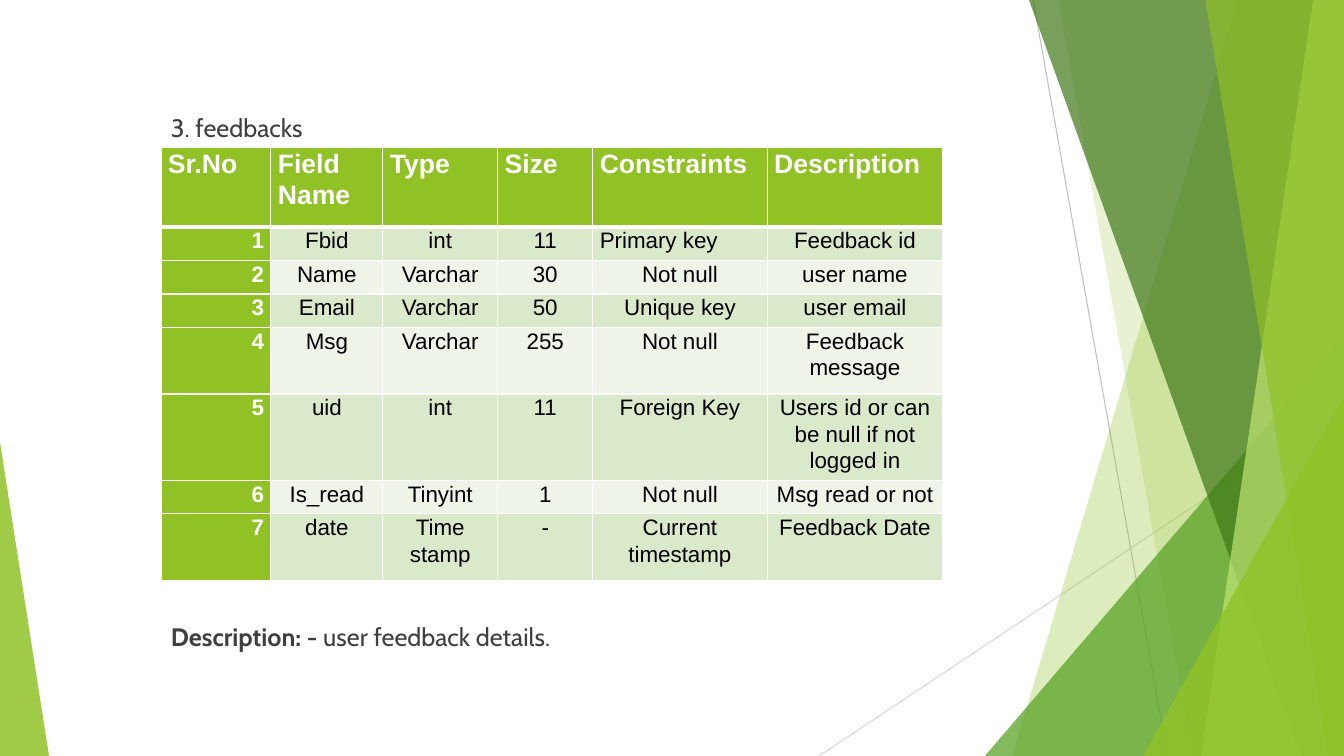
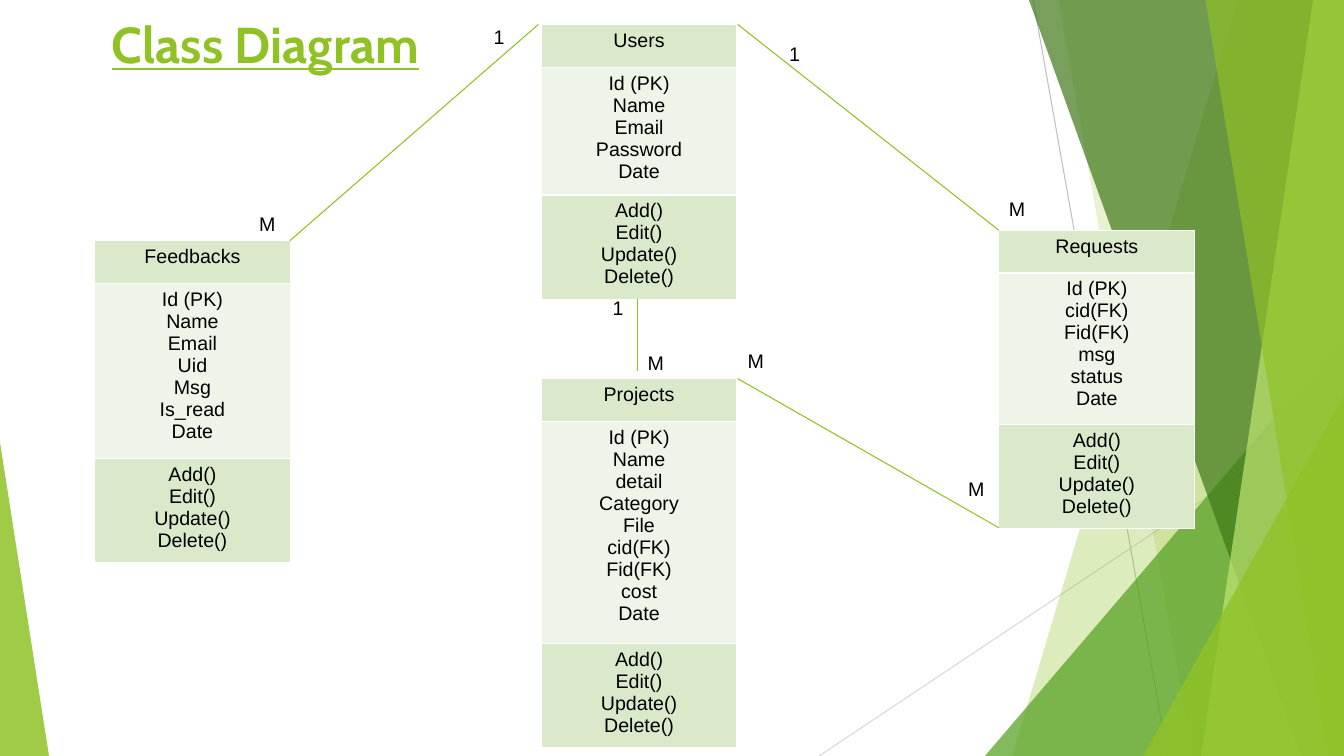
from lxml import etree
from pptx import Presentation
from pptx.dml.color import RGBColor
from pptx.enum import shapes, text
from pptx.oxml import ns
from pptx.util import Pt

HUES = {
    "leaf": "90C226", "green": "54A021", "dark": "3F7818", "lime": "BFE471",
    "link": "8EC221", "mist": "DBE9CB", "pale": "EEF4E7", "white": "FFFFFF",
    "black": "000000", "ink": "3F3F3F", "gray": "BFBFBF", "silver": "D8D8D8",
}
# Font attributes by role; "hue" is a key of HUES
FONTS = {
    "title": {"name": "Cabin", "size": Pt(36), "bold": True, "underline": True, "hue": "leaf"},
    "body": {"name": "Cabin", "size": Pt(18), "bold": False, "hue": "ink"},
    "strong": {"name": "Cabin", "size": Pt(18), "bold": True, "hue": "ink"},
    "head": {"name": "Arial", "size": Pt(19), "bold": True, "hue": "white"},
    "index": {"name": "Arial", "size": Pt(16), "bold": True, "hue": "white"},
    "cell": {"name": "Arial", "size": Pt(16), "bold": False, "hue": "black"},
    "class": {"name": "Arial", "size": Pt(14), "bold": False, "hue": "black"},
}
LEFT, MID, RIGHT = text.PP_ALIGN.LEFT, text.PP_ALIGN.CENTER, text.PP_ALIGN.RIGHT
WIDE, HIGH = 960, 540

FIELDS = [
    ["Sr.No", "Field Name", "Type", "Size", "Constraints", "Description"],
    ["1", "Fbid", "int", "11", "Primary key", "Feedback id"],
    ["2", "Name", "Varchar", "30", "Not null", "user name"],
    ["3", "Email", "Varchar", "50", "Unique key", "user email"],
    ["4", "Msg", "Varchar", "255", "Not null", "Feedback message"],
    ["5", "uid", "int", "11", "Foreign Key", "Users id or can be null if not logged in"],
    ["6", "Is_read", "Tinyint", "1", "Not null", "Msg read or not"],
    ["7", "date", "Time stamp", "-", "Current timestamp", "Feedback Date"],
]
COLS = [78.5, 80, 82, 68, 124.5, 125.5]
ROWS = [57, 24, 24, 24, 47.5, 57, 24, 47.5]

# Class boxes: left, top, name, fields
CLASSES = [
    (386.5, 17.5, "Users", "Id (PK) | Name | Email | Password | Date"),
    (67.5, 172, "Feedbacks", "Id (PK) | Name | Email | Uid | Msg | Is_read | Date"),
    (713.5, 164.5, "Requests", "Id (PK) | cid(FK) | Fid(FK) | msg | status | Date"),
    (386.5, 270.5, "Projects",
     "Id (PK) | Name | detail | Category | File | cid(FK) | Fid(FK) | cost | Date"),
]
METHODS = "Add() | Edit() | Update() | Delete()"
LINKS = [(384.5, 17.5, 207, 172), (527, 17.5, 713.5, 164.5),
         (713.5, 377, 527, 270.5), (455.5, 213.5, 455.5, 265)]
MARKS = [("1", 556.5, 26.5), ("M", 713.5, 137), ("M", 527, 246), ("M", 178, 147.5),
         ("M", 684.5, 337), ("M", 455.5, 247), ("1", 430.5, 208), ("1", 345.5, 14.5)]


def rgb(hue):
    return RGBColor.from_string(HUES[hue])


def put(frame, lines, align=LEFT, gap=None):
    """Write lines, each a list of (words, font role) runs."""
    for i, line in enumerate(lines):
        para = frame.paragraphs[0] if i == 0 else frame.add_paragraph()
        para.alignment = align
        if gap:
            para.line_spacing = gap
        for words, role in line:
            run = para.add_run()
            run.text = words
            for key, value in FONTS[role].items():
                if key == "hue":
                    run.font.color.rgb = rgb(value)
                else:
                    setattr(run.font, key, value)


def note(slide, box, line, align=LEFT):
    frame = slide.shapes.add_textbox(*map(Pt, box)).text_frame
    frame.word_wrap = True
    put(frame, [line], align)


def rule(slide, ends, hue):
    line = slide.shapes.add_connector(shapes.MSO_CONNECTOR.STRAIGHT, *map(Pt, ends))
    line.line.color.rgb = rgb(hue)
    line.line.width = Pt(0.75)
    etree.SubElement(line._element.spPr, ns.qn("a:effectLst"))


def tint(shape, hue, alpha):
    shape.shadow.inherit = False
    shape.line.fill.background()
    shape.fill.solid()
    shape.fill.fore_color.rgb = rgb(hue)
    color = shape._element.spPr.find(".//" + ns.qn("a:srgbClr"))
    etree.SubElement(color, ns.qn("a:alpha"), val=str(alpha * 1000))


def band(slide, top, foot, hue, alpha):
    """Slanted band that reaches the right edge of the slide."""
    form = slide.shapes.build_freeform(Pt(top), 0)
    form.add_line_segments([(Pt(x), Pt(y)) for x, y in
                            [(WIDE, 0), (WIDE, HIGH), (foot, HIGH)]])
    tint(form.convert_to_shape(), hue, alpha)


def peak(slide, left, top, width, tip, hue, alpha):
    """Triangle that stands on the bottom edge of the slide."""
    shape = slide.shapes.add_shape(shapes.MSO_SHAPE.ISOSCELES_TRIANGLE,
                                   *map(Pt, (left, top, width, HIGH - top)))
    shape.adjustments[0] = tip
    tint(shape, hue, alpha)


def decor(slide, layout):
    """Draw the shared backdrop and move it into the layout."""
    tree = layout.shapes.element
    for holder in list(layout.placeholders):
        tree.remove(holder._element)
    rule(slide, (738, 0, 834, HIGH), "gray")
    rule(slide, (WIDE, 290, 585, HIGH), "silver")
    band(slide, 884, 723, "leaf", 30)
    band(slide, 756, 852, "leaf", 20)
    peak(slide, 703.5, 240, 256.5, 1, "green", 72)
    band(slide, 735, 929.5, "dark", 70)
    band(slide, 938, 858, "lime", 70)
    band(slide, 861, 949, "leaf", 65)
    peak(slide, 816.5, 283, 143.5, 1, "leaf", 80)
    peak(slide, 0, 316, 35, 0, "leaf", 85)
    for shape in list(slide.shapes):
        tree.append(shape._element)


def grid(slide, left, top, cols, rows):
    frame = slide.shapes.add_table(len(rows), len(cols),
                                   *map(Pt, (left, top, sum(cols), sum(rows))))
    table = frame.table
    for col, width in zip(table.columns, cols):
        col.width = Pt(width)
    for row, height in zip(table.rows, rows):
        row.height = Pt(height)
    return table


def paint(cell, hue, over=1, under=1):
    """Fill a cell and give it white borders."""
    cell.fill.solid()
    cell.fill.fore_color.rgb = rgb(hue)
    props = cell._tc.get_or_add_tcPr()
    sides = {"lnL": 1, "lnR": 1, "lnT": over, "lnB": under}
    for i, (side, width) in enumerate(sides.items()):
        line = etree.Element(ns.qn("a:" + side), w=str(Pt(width)))
        fill = etree.SubElement(line, ns.qn("a:solidFill"))
        etree.SubElement(fill, ns.qn("a:srgbClr"), val=HUES["white"])
        props.insert(i, line)


def fields(slide):
    table = grid(slide, 115, 105, COLS, ROWS)
    for r, row in enumerate(FIELDS):
        for c, words in enumerate(row):
            cell = table.cell(r, c)
            if r == 0:
                role, hue, align = "head", "leaf", LEFT
            elif c == 0:
                role, hue, align = "index", "leaf", RIGHT
            else:
                role, hue = "cell", "mist" if r % 2 else "pale"
                align = LEFT if words == "Primary key" else MID
            paint(cell, hue, 3 if r == 1 else 1, 3 if r == 0 else 1)
            margins = {"margin_left": 5, "margin_right": 5,
                       "margin_top": 0, "margin_bottom": 0}
            for key, value in margins.items():
                setattr(cell, key, Pt(value))
            put(cell.text_frame, [[(words, role)]], align, 1.07)


def model(slide, left, top, name, attrs):
    """Class box: name, fields, methods."""
    parts = [part.split(" | ") for part in (name, attrs, METHODS)]
    rows = [30.5] + [7.2 + 15.8 * len(part) for part in parts[1:]]
    table = grid(slide, left, top, [140], rows)
    for r, part in enumerate(parts):
        cell = table.cell(r, 0)
        paint(cell, "pale" if r % 2 else "mist")
        put(cell.text_frame, [[(words, "class")] for words in part], MID)


def main():
    deck = Presentation()
    deck.slide_width, deck.slide_height = Pt(WIDE), Pt(HIGH)
    blank = deck.slide_layouts[6]

    # Feedbacks table
    slide = deck.slides.add_slide(blank)
    decor(slide, blank)
    note(slide, (115, 77, 615, 28), [("3. feedbacks", "body")])
    fields(slide)
    note(slide, (115, 440, 538, 58),
         [("Description: -", "strong"), (" user feedback details.", "body")])

    # Class diagram
    slide = deck.slides.add_slide(blank)
    note(slide, (20, 6, 339, 61), [("Class Diagram", "title")], MID)
    for item in CLASSES:
        model(slide, *item)
    for ends in LINKS:
        rule(slide, ends, "link")
    for words, left, top in MARKS:
        note(slide, (left, top, 24, 24.5), [(words, "class")])

    deck.save("out.pptx")


if __name__ == "__main__":
    main()
